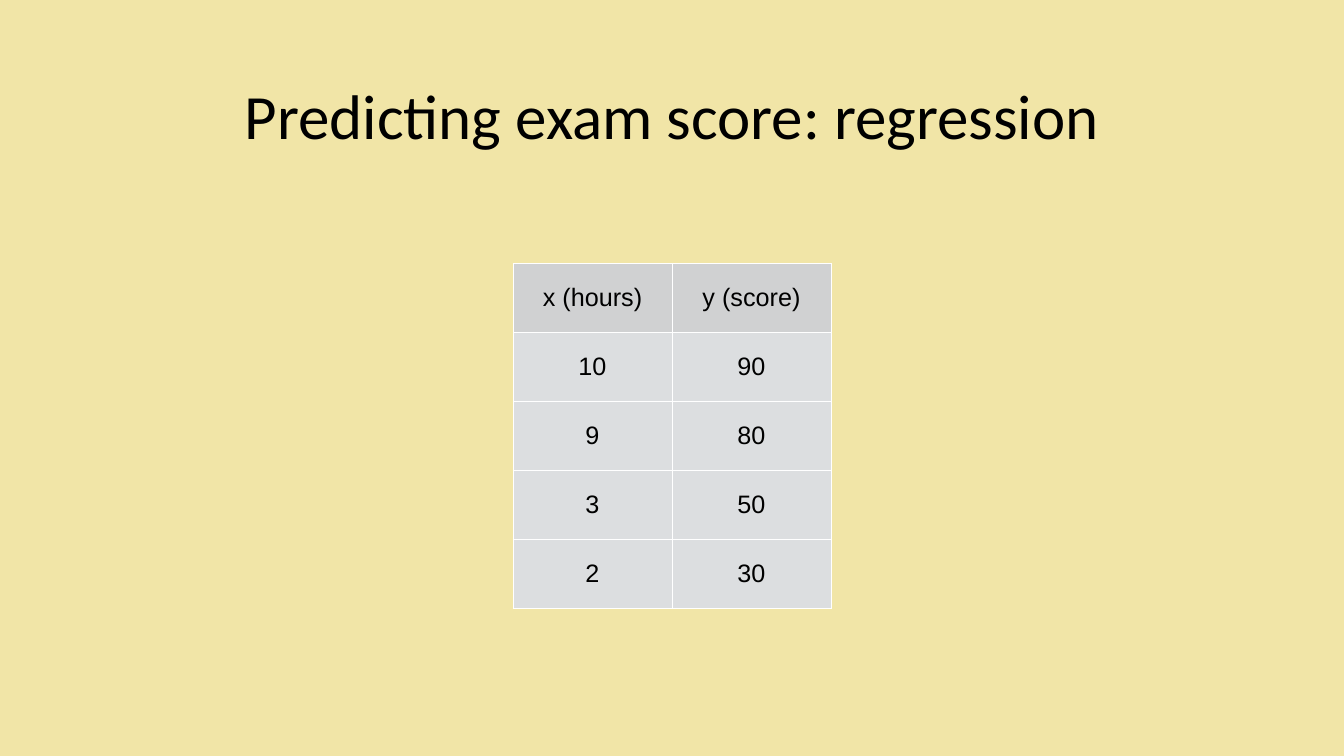
from pptx import Presentation
from pptx.dml.color import RGBColor
from pptx.enum.text import MSO_ANCHOR as Anchor, PP_ALIGN as Align
from pptx.oxml.ns import qn
from pptx.util import Inches, Pt
from lxml.etree import SubElement

BLACK = "000000"
WHITE = "FFFFFF"
BACKGROUND = "F1E5A7"
HEADER_FILL = "D0D1D2"
BODY_FILL = "DCDEE0"
SCORES = [
    ("x (hours)", "y (score)"),
    ("10", "90"),
    ("9", "80"),
    ("3", "50"),
    ("2", "30"),
]


def paint(fill, color):
    """Make a fill solid in a hex colour."""
    fill.solid()
    fill.fore_color.rgb = RGBColor.from_string(color)


def set_margins(target, inches):
    """Give a cell or text frame equal margins on all sides."""
    for side in ("left", "right", "top", "bottom"):
        setattr(target, f"margin_{side}", Inches(inches))


def write(frame, text, size, font):
    """Write one centred black line into a text frame."""
    frame.text = text
    para = frame.paragraphs[0]
    para.alignment = Align.CENTER
    span = para.runs[0]
    span.font.size = Pt(size)
    span.font.name = font
    paint(span.font.fill, BLACK)


def add_title(page, text):
    """Add the title across the full page width."""
    box = page.shapes.add_textbox(Inches(-0.02), Inches(0.39), Inches(26.71), Inches(3.75))
    frame = box.text_frame
    frame.word_wrap = True
    frame.vertical_anchor = Anchor.MIDDLE
    set_margins(frame, 0.08)
    write(frame, text, 90, "Calibri")


def set_borders(cell, color, width):
    """Draw a solid line on all four sides of a cell."""
    properties = cell._tc.get_or_add_tcPr()
    for side in ("a:lnL", "a:lnR", "a:lnT", "a:lnB"):
        line = SubElement(properties, qn(side), w=str(Pt(width)))
        fill = SubElement(line, qn("a:solidFill"))
        SubElement(fill, qn("a:srgbClr"), val=color)


def add_score_table(page, rows):
    """Add the table of study hours and exam scores."""
    shape = page.shapes.add_table(
        len(rows), len(rows[0]), Inches(10.18), Inches(5.23), Inches(6.31), Inches(6.85)
    )
    table = shape.table
    for row_index, values in enumerate(rows):
        for column_index, text in enumerate(values):
            cell = table.cell(row_index, column_index)
            cell.vertical_anchor = Anchor.MIDDLE
            set_margins(cell, 0.06)
            set_borders(cell, WHITE, 1)
            paint(cell.fill, BODY_FILL if row_index else HEADER_FILL)
            write(cell.text_frame, text, 36, "Arial")
            cell.text_frame.paragraphs[0].runs[0].font.bold = False


def main():
    """Build and save the deck."""
    deck = Presentation()
    deck.slide_width = Inches(26.67)
    deck.slide_height = Inches(15)
    page = deck.slides.add_slide(deck.slide_layouts[6])
    paint(page.background.fill, BACKGROUND)
    add_title(page, "Predicting exam score: regression")
    add_score_table(page, SCORES)
    deck.save("out.pptx")


if __name__ == "__main__":
    main()
